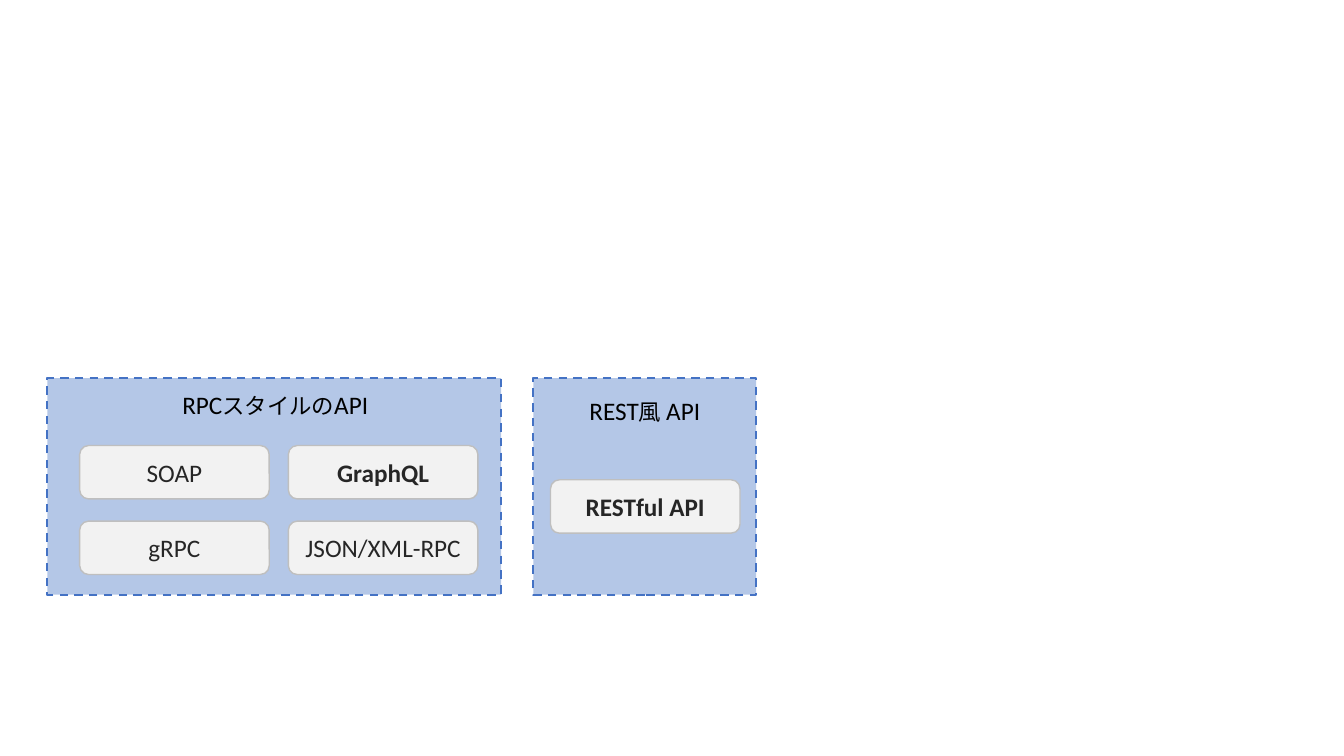
from pptx import Presentation
from pptx.dml.color import RGBColor
from pptx.enum.dml import MSO_LINE_DASH_STYLE as Dash
from pptx.enum.shapes import MSO_SHAPE as Shape
from pptx.enum.text import MSO_ANCHOR as Anchor, MSO_AUTO_SIZE as Fit, PP_ALIGN as Align
from pptx.util import Inches, Pt

FONT = "Calibri"
PALE = RGBColor(0xB4, 0xC7, 0xE7)
BLUE = RGBColor(0x44, 0x72, 0xC4)
LIGHT = RGBColor(0xF2, 0xF2, 0xF2)
GRAY = RGBColor(0xBF, 0xBF, 0xBF)
DARK = RGBColor(0x26, 0x26, 0x26)
BLACK = RGBColor(0, 0, 0)

PANEL_TOP, PANEL_H = 3.75, 2.15
CARD_W, CARD_H = 1.88, 0.53
GRID_X, GRID_Y = 0.79, 4.42
STEP_X, STEP_Y = 2.07, 0.75
STYLES = [["SOAP", "GraphQL"], ["gRPC", "JSON/XML-RPC"]]
BOLD = {"GraphQL", "RESTful API"}


def add_box(slide, kind, x, y, w, h, fill, edge, width):
    box = slide.shapes.add_shape(kind, Inches(x), Inches(y), Inches(w), Inches(h))
    box.shadow.inherit = False
    box.fill.solid()
    box.fill.fore_color.rgb = fill
    box.line.color.rgb = edge
    box.line.width = Pt(width)
    return box


def add_panel(slide, x, w):
    panel = add_box(slide, Shape.RECTANGLE, x, PANEL_TOP, w, PANEL_H, PALE, BLUE, 1.5)
    panel.line.dash_style = Dash.DASH


def add_label(slide, x, y, w, parts):
    """Add a centred heading from (text, size) parts."""
    box = slide.shapes.add_textbox(Inches(x), Inches(y), Inches(w), Inches(0.4))
    frame = box.text_frame
    frame.word_wrap = True
    frame.auto_size = Fit.SHAPE_TO_FIT_TEXT
    para = frame.paragraphs[0]
    para.alignment = Align.CENTER
    for text, size in parts:
        run = para.add_run()
        run.text = text
        run.font.name = FONT
        run.font.size = Pt(size)
        run.font.color.rgb = BLACK


def add_card(slide, x, y, text):
    card = add_box(slide, Shape.ROUNDED_RECTANGLE, x, y, CARD_W, CARD_H, LIGHT, GRAY, 1)
    frame = card.text_frame
    frame.word_wrap = True
    frame.vertical_anchor = Anchor.MIDDLE
    para = frame.paragraphs[0]
    para.text = text
    para.alignment = Align.CENTER
    para.font.name = FONT
    para.font.size = Pt(18)
    para.font.bold = text in BOLD
    para.font.color.rgb = DARK


def main():
    deck = Presentation()
    deck.slide_width, deck.slide_height = Inches(13.33), Inches(7.5)
    slide = deck.slides.add_slide(deck.slide_layouts[6])

    add_panel(slide, 0.47, 4.5)
    add_label(slide, 1.65, 3.81, 2.16, [("RPC", 18), ("スタイルの", 16), ("API", 18)])
    for row, names in enumerate(STYLES):
        for col, name in enumerate(names):
            add_card(slide, GRID_X + col * STEP_X, GRID_Y + row * STEP_Y, name)

    add_panel(slide, 5.29, 2.21)
    add_label(slide, 5.29, 3.87, 2.21, [("REST", 18), ("風 ", 16), ("API", 18)])
    add_card(slide, 5.46, 4.76, "RESTful API")

    deck.save("out.pptx")


if __name__ == "__main__":
    main()
